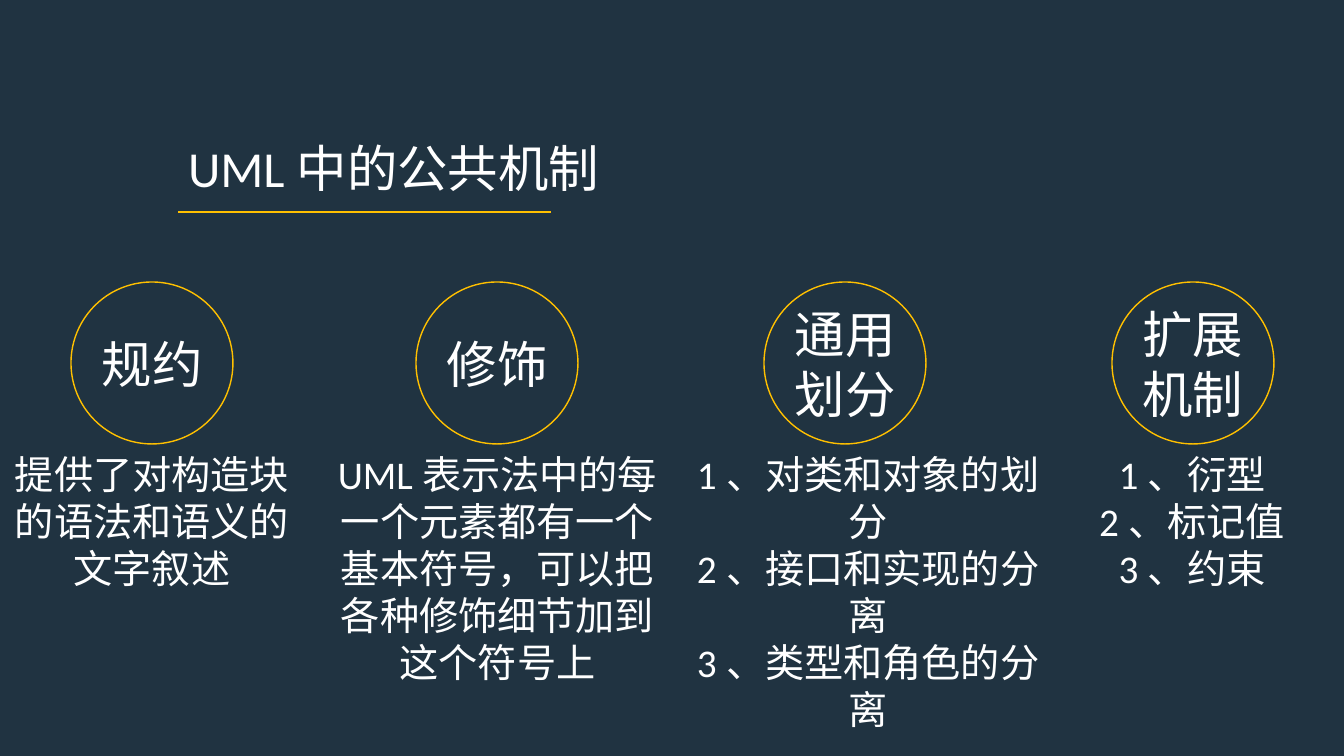
from lxml import etree
from pptx import Presentation
from pptx.dml.color import RGBColor
from pptx.enum.shapes import MSO_CONNECTOR, MSO_SHAPE
from pptx.enum.text import MSO_ANCHOR, MSO_AUTO_SIZE, PP_ALIGN
from pptx.oxml.ns import qn
from pptx.util import Pt

LEFT, CENTER = PP_ALIGN.LEFT, PP_ALIGN.CENTER
TOP = MSO_ANCHOR.TOP
GROW = MSO_AUTO_SIZE.SHAPE_TO_FIT_TEXT
OVAL, STRAIGHT = MSO_SHAPE.OVAL, MSO_CONNECTOR.STRAIGHT

NAVY = RGBColor(0x20, 0x33, 0x41)
GOLD = RGBColor(0xFF, 0xC0, 0x00)
WHITE = RGBColor(0xFF, 0xFF, 0xFF)
FONT = "Calibri"

TITLE = "UML中的公共机制"
# label, label height, ring centre x, caption left, width, height, lines
TOPICS = [
    ("规约", 72, 152, -3, 310, 152, ["提供了对构造块的语法和语义的文字叙述"]),
    ("修饰", 72, 497, 325, 345, 248,
     ["UML表示法中的每一个元素都有一个基本符号，可以把各种修饰细节加到这个符号上"]),
    ("通用划分", 132, 845, 669, 398, 152,
     ["1、对类和对象的划分", "2、接口和实现的分离", "3、类型和角色的分离"]),
    ("扩展机制", 132, 1193, 1037, 310, 152,
     ["1、衍型", "2、标记值", "3、约束"]),
]
RING, RING_TOP = 162, 282
LABEL = 154
MIDDLE = RING_TOP + RING // 2 + 1
CAPTION_TOP = 445


def px(n):
    return round(n * 914400 / 100.8)


def box(*sides):
    return [px(n) for n in sides]


def write(shape, lines, size=28, align=CENTER):
    frame = shape.text_frame
    frame.word_wrap = True
    frame.auto_size = GROW
    frame.vertical_anchor = TOP
    frame.text = "\n".join(lines)
    for para in frame.paragraphs:
        para.alignment = align
        font = para.runs[0].font
        font.name, font.size = FONT, Pt(size)
        font.color.rgb = WHITE


def stroke(shape):
    shape.line.color.rgb = GOLD
    shape.line.width = Pt(1)


def main():
    deck = Presentation()
    deck.slide_width, deck.slide_height = box(1344, 756)
    slide = deck.slides.add_slide(deck.slide_layouts[5])
    slide.background.fill.solid()
    slide.background.fill.fore_color.rgb = NAVY
    shapes = slide.shapes

    title = shapes.title
    title.left, title.top, title.width, title.height = box(178, 132, 436, 72)
    write(title, [TITLE], size=36, align=LEFT)

    rule = shapes.add_connector(STRAIGHT, *box(178, 212, 551, 212))
    stroke(rule)
    etree.SubElement(rule._element.spPr, qn("a:effectLst"))

    for label, tall, mid, left, wide, high, lines in TOPICS:
        ring = shapes.add_shape(
            OVAL, *box(mid - RING / 2, RING_TOP, RING, RING))
        ring.fill.background()
        ring.shadow.inherit = False
        stroke(ring)
        name = shapes.add_textbox(
            *box(mid - LABEL / 2, MIDDLE - tall / 2, LABEL, tall))
        write(name, [label], size=36)
        text = shapes.add_textbox(*box(left, CAPTION_TOP, wide, high))
        write(text, lines)

    deck.save("out.pptx")


if __name__ == "__main__":
    main()
